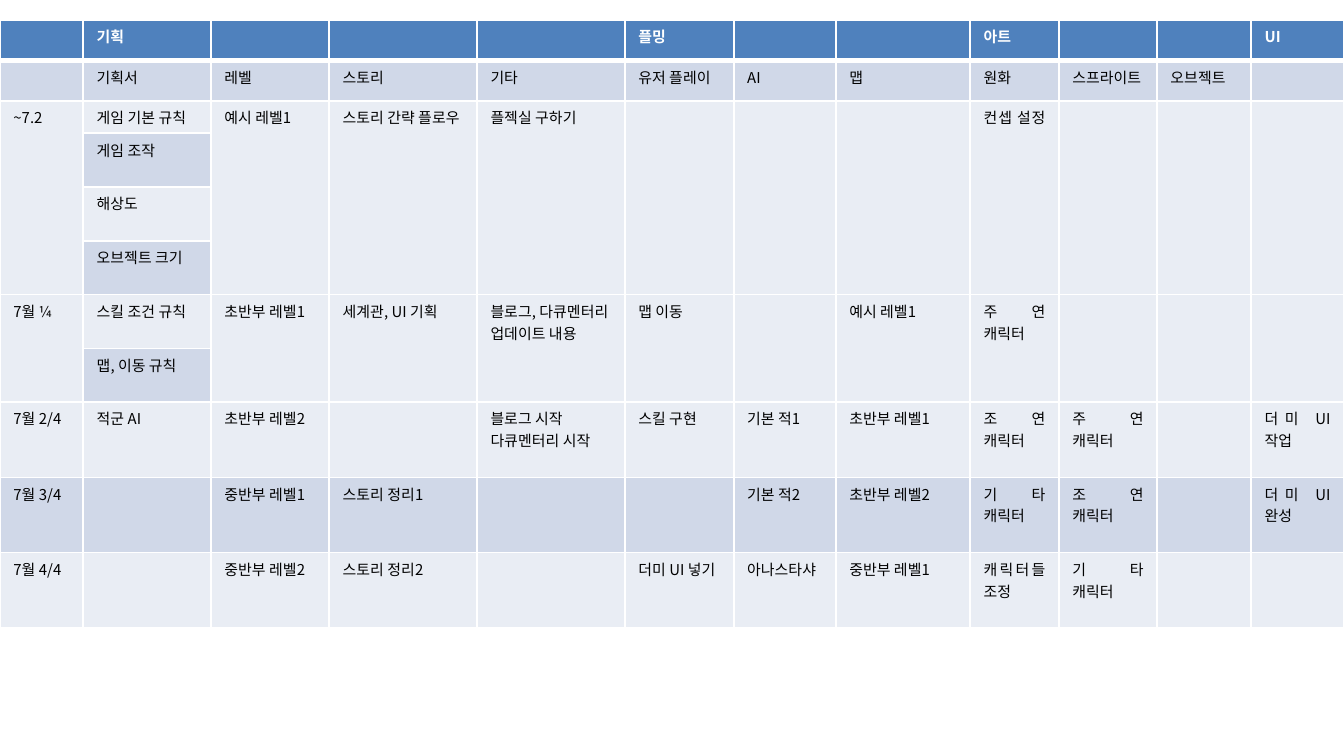
from dataclasses import dataclass

from lxml import etree
from pptx import Presentation
from pptx.dml.color import RGBColor
from pptx.enum.text import PP_ALIGN
from pptx.oxml.ns import qn
from pptx.util import Inches, Pt

JUSTIFY = PP_ALIGN.JUSTIFY
FONT = "Noto Sans CJK KR"
TEXT_SIZE = 8
WHITE, BLACK = "FFFFFF", "000000"
HEADER, DARK_BAND, LIGHT_BAND = "4F81BD", "D0D8E8", "E9EDF4"
COLUMN_WIDTHS = [0.62, 0.95, 0.88, 1.1, 1.1, 0.81, 0.76, 1, 0.66, 0.73, 0.7, 0.69]
PLAN_COLUMN = 1


@dataclass
class ScheduleRow:
    height: float
    fill: str
    entries: tuple[str, ...]
    span: int = 1


def plan_only(rule: str, fill: str) -> ScheduleRow:
    return ScheduleRow(0.4, fill, ("", rule))


SCHEDULE = [
    ScheduleRow(0.3, HEADER, ("", "기획", "", "", "", "플밍", "", "", "아트", "", "", "UI")),
    ScheduleRow(0.3, DARK_BAND, (
        "", "기획서", "레벨", "스토리", "기타", "유저 플레이", "AI", "맵",
        "원화", "스프라이트", "오브젝트")),
    ScheduleRow(0.24, LIGHT_BAND, (
        "~7.2", "게임 기본 규칙", "예시 레벨1", "스토리 간략 플로우",
        "플젝실 구하기", "", "", "", "컨셉 설정 "), span=4),
    plan_only("게임 조작", DARK_BAND),
    plan_only("해상도", LIGHT_BAND),
    plan_only("오브젝트 크기", DARK_BAND),
    ScheduleRow(0.4, LIGHT_BAND, (
        "7월 ¼", "스킬 조건 규칙", "초반부 레벨1", "세계관, UI 기획",
        "블로그, 다큐멘터리\n업데이트 내용", "맵 이동", "", "예시 레벨1",
        "주연 캐릭터"), span=2),
    plan_only("맵, 이동 규칙", DARK_BAND),
    ScheduleRow(0.56, LIGHT_BAND, (
        "7월 2/4", "적군 AI ", "초반부 레벨2", "", "블로그 시작\n다큐멘터리 시작",
        "스킬 구현", "기본 적1", "초반부 레벨1", "조연 캐릭터", "주연 캐릭터",
        "", "더미 UI 작업")),
    ScheduleRow(0.56, DARK_BAND, (
        "7월 3/4", "", "중반부 레벨1", "스토리 정리1", "", "", "기본 적2",
        "초반부 레벨2", "기타 캐릭터", "조연 캐릭터", "", "더미 UI 완성")),
    ScheduleRow(0.56, LIGHT_BAND, (
        "7월 4/4", "", "중반부 레벨2", "스토리 정리2", "", "더미 UI 넣기",
        "아나스타샤", "중반부 레벨1", "캐릭터들 조정", "기타 캐릭터")),
]


def color(value: str) -> RGBColor:
    return RGBColor.from_string(value)


def add_borders(cell, bottom_width: float) -> None:
    properties = cell._tc.get_or_add_tcPr()
    for side, width in (("L", 1), ("R", 1), ("T", 1), ("B", bottom_width)):
        line = etree.SubElement(properties, qn(f"a:ln{side}"), w=str(Pt(width)))
        line_fill = etree.SubElement(line, qn("a:solidFill"))
        etree.SubElement(line_fill, qn("a:srgbClr"), val=WHITE)


def write_entry(cell, entry: str, is_header: bool) -> None:
    cell.text = entry
    for paragraph in cell.text_frame.paragraphs:
        paragraph.alignment = JUSTIFY
        font = paragraph.font
        font.size = Pt(TEXT_SIZE)
        font.bold = is_header
        font.color.rgb = color(WHITE if is_header else BLACK)
        font.name = FONT
        etree.SubElement(font._element, qn("a:ea"), typeface=FONT)
        if not entry:
            etree.SubElement(paragraph._p, qn("a:endParaRPr"), sz=str(TEXT_SIZE * 100))


def fill_row(table, row_index: int, row: ScheduleRow) -> None:
    is_header = row_index == 0
    table.rows[row_index].height = Inches(row.height)
    for column in range(len(COLUMN_WIDTHS)):
        cell = table.cell(row_index, column)
        entry = row.entries[column] if column < len(row.entries) else ""
        write_entry(cell, entry, is_header)
        add_borders(cell, 3 if is_header else 1)
        cell.fill.solid()
        cell.fill.fore_color.rgb = color(row.fill)
        cell.margin_left = cell.margin_right = Inches(0.1)
        cell.margin_top = cell.margin_bottom = Inches(0.04)


def merge_weeks(table, row_index: int, span: int) -> None:
    for column in range(len(COLUMN_WIDTHS)):
        if column != PLAN_COLUMN:
            table.cell(row_index, column).merge(table.cell(row_index + span - 1, column))


presentation = Presentation()
presentation.slide_width = Inches(10)
presentation.slide_height = Inches(10 * 9 / 16)
slide = presentation.slides.add_slide(presentation.slide_layouts[6])

schedule = slide.shapes.add_table(
    len(SCHEDULE), len(COLUMN_WIDTHS), Inches(0), Inches(0.15),
    Inches(10), Inches(sum(row.height for row in SCHEDULE)),
).table
for column, width in zip(schedule.columns, COLUMN_WIDTHS):
    column.width = Inches(width)
for row_index, row in enumerate(SCHEDULE):
    fill_row(schedule, row_index, row)
for row_index, row in enumerate(SCHEDULE):
    if row.span > 1:
        merge_weeks(schedule, row_index, row.span)

presentation.save("out.pptx")
